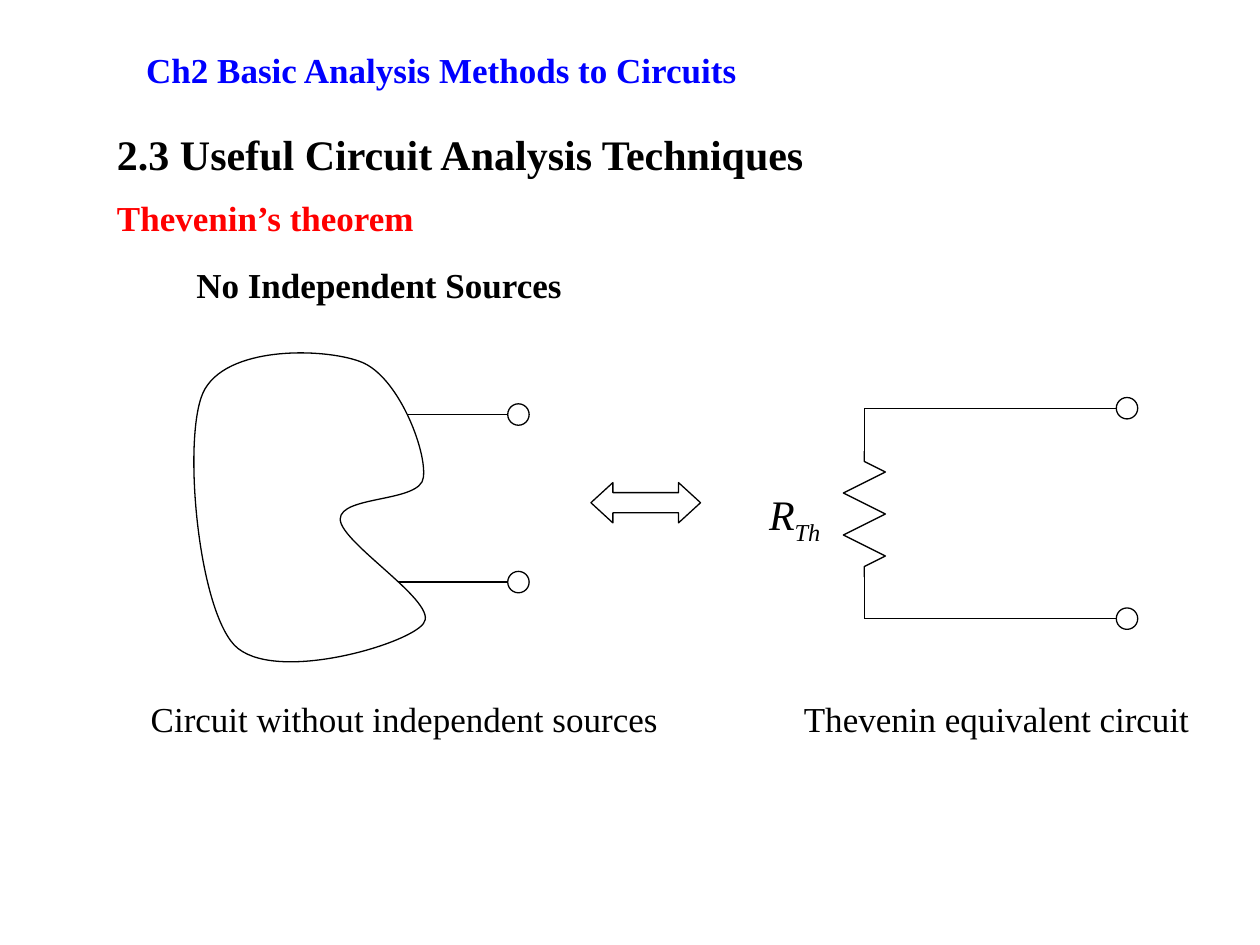
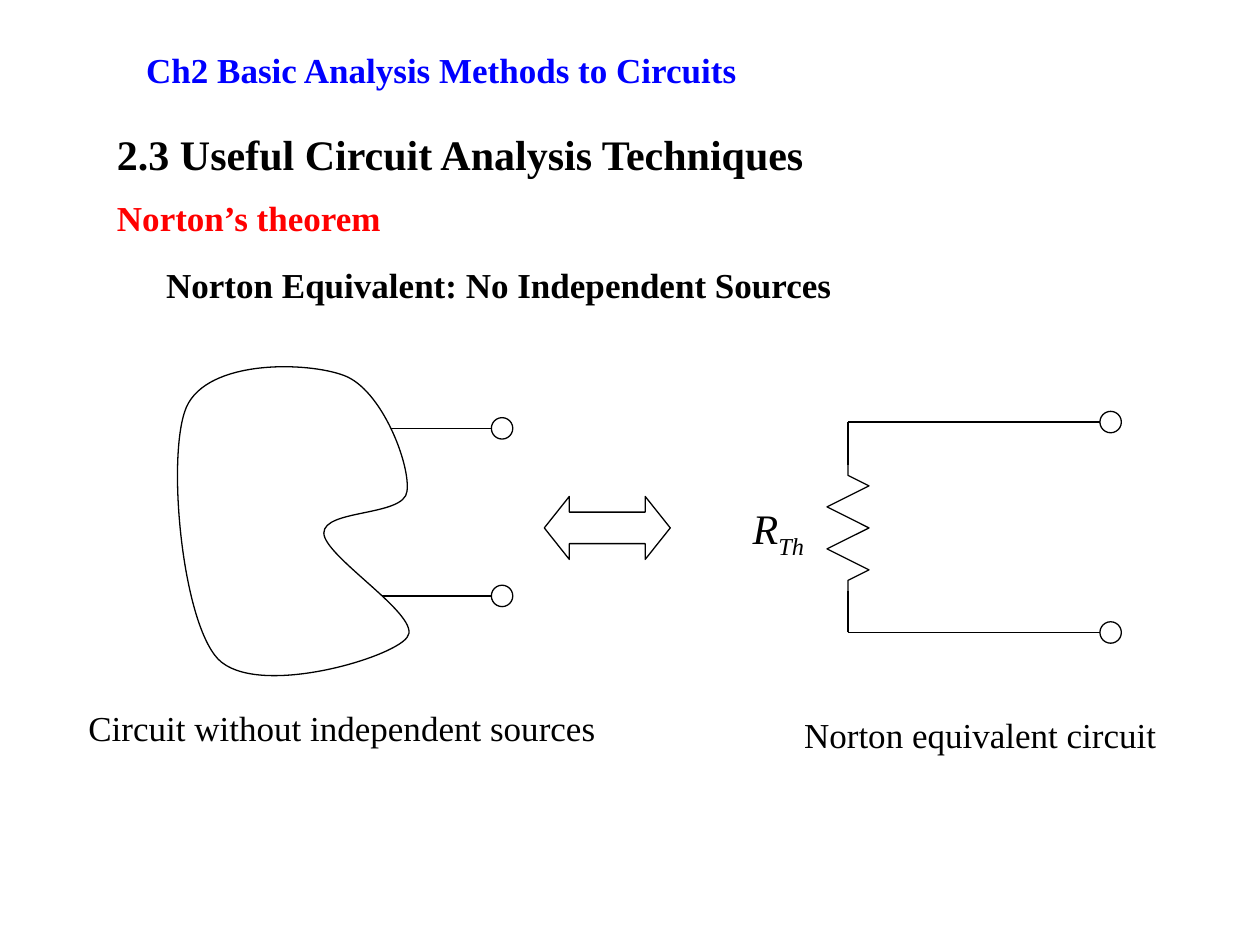
from lxml.etree import SubElement
from pptx import Presentation
from pptx.dml.color import RGBColor
from pptx.enum.shapes import MSO_CONNECTOR, MSO_SHAPE
from pptx.enum.text import MSO_ANCHOR as ANCHOR, PP_ALIGN as ALIGN
from pptx.oxml.ns import qn
from pptx.util import Inches, Pt

FONT = "Times New Roman"
BLACK = RGBColor(0, 0, 0)
WHITE = RGBColor(255, 255, 255)
BLUE = RGBColor(0, 0, 255)
RED = RGBColor(255, 0, 0)

CHAPTER = "Ch2 Basic Analysis Methods to Circuits"
SECTION = "2.3 Useful Circuit Analysis Techniques"
SOURCE_CAPTION = "Circuit without independent sources"

# Boxes are (left, top, width, height) in inches; shift moves the whole diagram.
SLIDES = [
    dict(theorem="Thevenin’s theorem",
         case="No Independent Sources", case_box=(1.46, 2.02, 4.33, 0.47),
         shift=(0, 0), arrow_box=(4.69, 3.83, 0.87, 0.32), arrow_head=0.545,
         source_box=(1.03, 5.49, 4.36, 0.44),
         result="Thevenin equivalent circuit", result_box=(6.2, 5.49, 3.42, 0.44)),
    dict(theorem="Norton’s theorem",
         case="Norton Equivalent: No Independent Sources", case_box=(1.22, 1.86, 6.69, 0.79),
         shift=(-0.13, 0.11), arrow_box=(4.32, 3.94, 1, 0.5), arrow_head=0.398,
         source_box=(0.51, 5.56, 4.41, 0.44),
         result="Norton equivalent circuit", result_box=(6.07, 5.61, 3.42, 0.44)),
]

# Start point, then three Bezier points for each curve
NETWORK = [(1.61, 3.12),
           (1.78, 2.74), (2.57, 2.76), (2.86, 2.87),
           (3.16, 2.98), (3.39, 3.58), (3.36, 3.79),
           (3.34, 3.99), (2.7, 3.93), (2.7, 4.12),
           (2.7, 4.31), (3.5, 4.79), (3.36, 4.95),
           (3.23, 5.12), (2.16, 5.43), (1.86, 5.12),
           (1.57, 4.81), (1.45, 3.49), (1.61, 3.12)]
NETWORK_PORTS = (3.29, 4.62)
NETWORK_X, NETWORK_END = 2.86, 4.03
RESISTOR_X, RESISTOR_END = 6.86, 8.86
RAIL_TOP, RAIL_BOTTOM = 3.24, 4.91
RESISTOR_TOP, RESISTOR_BOTTOM = 3.58, 4.58
TERMINAL = 0.17
ZIGZAG_SIDES = (1, -1, 1, -1, 1)


def inches(values):
    return [Inches(v) for v in values]


def add_run(p, text, size, color=BLACK, bold=False, italic=False):
    r = p.add_run()
    r.text = text
    f = r.font
    f.name, f.size, f.bold, f.italic = FONT, Pt(size), bold, italic
    f.color.rgb = color
    return r


def add_text(slide, box, text, size=20, align=ALIGN.LEFT, anchor=ANCHOR.TOP, **style):
    tf = slide.shapes.add_textbox(*inches(box)).text_frame
    tf.word_wrap = True
    tf.vertical_anchor = anchor
    p = tf.paragraphs[0]
    p.alignment = align
    add_run(p, text, size, **style)
    return p


def outline(sp, fill=None):
    sp.shadow.inherit = False
    if fill is None:
        sp.fill.background()
    else:
        sp.fill.solid()
        sp.fill.fore_color.rgb = fill
    sp.line.color.rgb = BLACK
    sp.line.width = Pt(0.75)


def add_freeform(slide, points, close, fill=None):
    start, *rest = [inches(pt) for pt in points]
    builder = slide.shapes.build_freeform(*start)
    builder.add_line_segments(rest, close=close)
    sp = builder.convert_to_shape()
    outline(sp, fill)
    return sp


def curve(sp):
    """Turn each three line segments of a freeform into one cubic curve."""
    lines = list(sp._element.iter(qn("a:lnTo")))
    for first, second, third in zip(lines[::3], lines[1::3], lines[2::3]):
        first.tag = qn("a:cubicBezTo")
        for line in (second, third):
            first.append(line[0])
            line.getparent().remove(line)


def add_wire(slide, x1, y1, x2, y2):
    wire = slide.shapes.add_connector(MSO_CONNECTOR.STRAIGHT, *inches((x1, y1, x2, y2)))
    wire.line.color.rgb = BLACK
    wire.line.width = Pt(0.75)
    SubElement(wire._element.spPr, qn("a:effectLst"))


def add_port(slide, x1, x2, y):
    """Wire from x1 to x2, ending in an open terminal."""
    add_wire(slide, x1, y, x2, y)
    box = (x2, y - TERMINAL / 2, TERMINAL, TERMINAL)
    outline(slide.shapes.add_shape(MSO_SHAPE.OVAL, *inches(box)))


def add_headings(slide, theorem, case, case_box):
    title = slide.shapes.title
    title.left, title.top, title.width, title.height = inches((1.06, 0.28, 8.19, 0.55))
    tf = title.text_frame
    tf.vertical_anchor = ANCHOR.MIDDLE
    tf.paragraphs[0].alignment = ALIGN.LEFT
    add_run(tf.paragraphs[0], CHAPTER, 20, BLUE, bold=True)
    add_text(slide, (0.83, 0.97, 6.08, 0.5), SECTION, 24, bold=True)
    add_text(slide, (0.83, 1.51, 4.73, 0.44), theorem, color=RED, bold=True)
    add_text(slide, case_box, case, anchor=ANCHOR.MIDDLE, bold=True)


def add_network(slide, dx, dy):
    for y in NETWORK_PORTS:
        add_port(slide, NETWORK_X + dx, NETWORK_END + dx, y + dy)
    curve(add_freeform(slide, [(x + dx, y + dy) for x, y in NETWORK], True, WHITE))


def add_equivalent(slide, dx, dy):
    x, top, bottom = RESISTOR_X + dx, RESISTOR_TOP + dy, RESISTOR_BOTTOM + dy
    step = (bottom - top) / 6
    peaks = [(x + side * step, top + (i + 1) * step) for i, side in enumerate(ZIGZAG_SIDES)]
    zigzag = [(x, top), (x, top + step / 2), *peaks, (x, bottom - step / 2), (x, bottom)]
    add_freeform(slide, zigzag, False)
    for rail, end in ((RAIL_TOP + dy, top), (RAIL_BOTTOM + dy, bottom)):
        add_wire(slide, x, rail, x, end)
        add_port(slide, x, RESISTOR_END + dx, rail)
    p = add_text(slide, (5.61 + dx, 3.83 + dy, 1, 0.56), "R", 24, ALIGN.RIGHT, italic=True)
    r = add_run(p, "Th", 24, italic=True)
    r._r.get_or_add_rPr().set("baseline", "-25000")


def add_arrow(slide, box, head):
    sp = slide.shapes.add_shape(MSO_SHAPE.LEFT_RIGHT_ARROW, *inches(box))
    sp.adjustments[0], sp.adjustments[1] = 0.5, head
    outline(sp)


def main():
    prs = Presentation()
    prs.slide_width, prs.slide_height = Inches(10), Inches(7.5)
    for s in SLIDES:
        slide = prs.slides.add_slide(prs.slide_layouts[5])
        add_headings(slide, s["theorem"], s["case"], s["case_box"])
        add_network(slide, *s["shift"])
        add_arrow(slide, s["arrow_box"], s["arrow_head"])
        add_equivalent(slide, *s["shift"])
        add_text(slide, s["source_box"], SOURCE_CAPTION, align=ALIGN.CENTER)
        add_text(slide, s["result_box"], s["result"], align=ALIGN.CENTER)
    prs.save("out.pptx")


if __name__ == "__main__":
    main()
